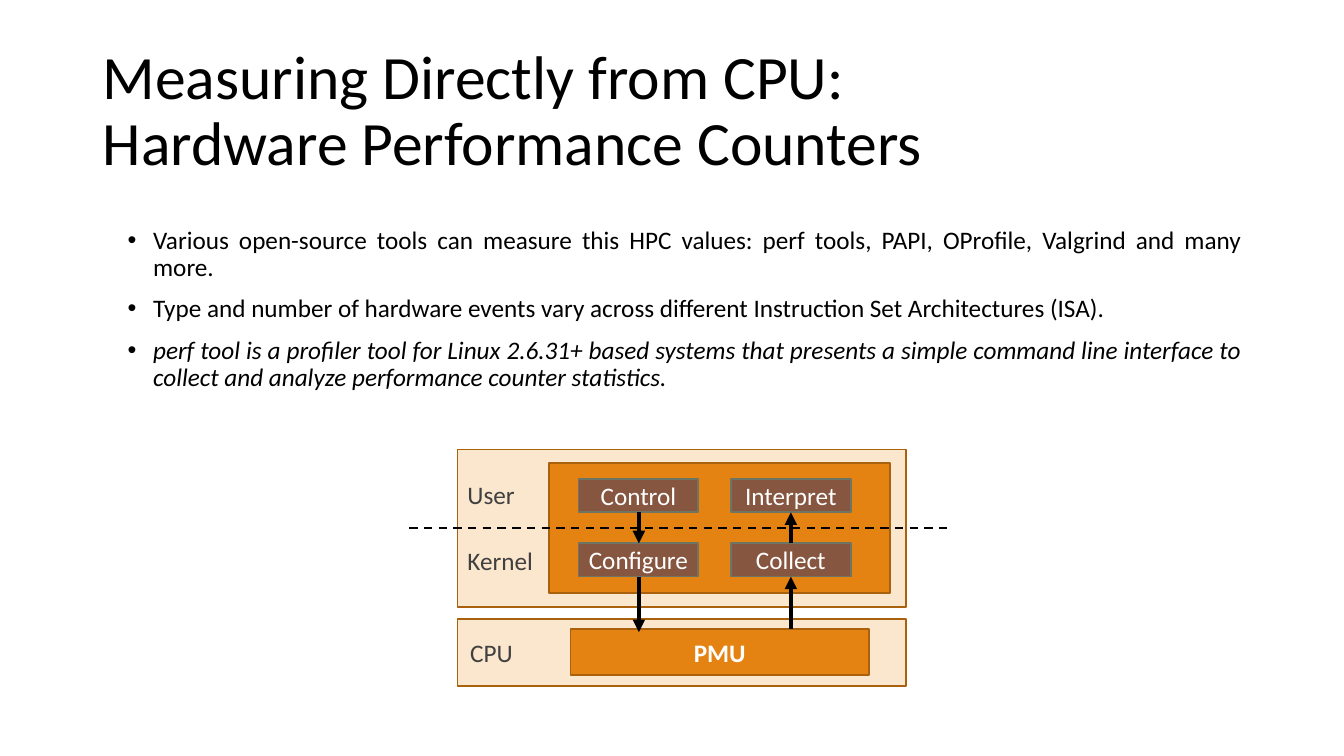
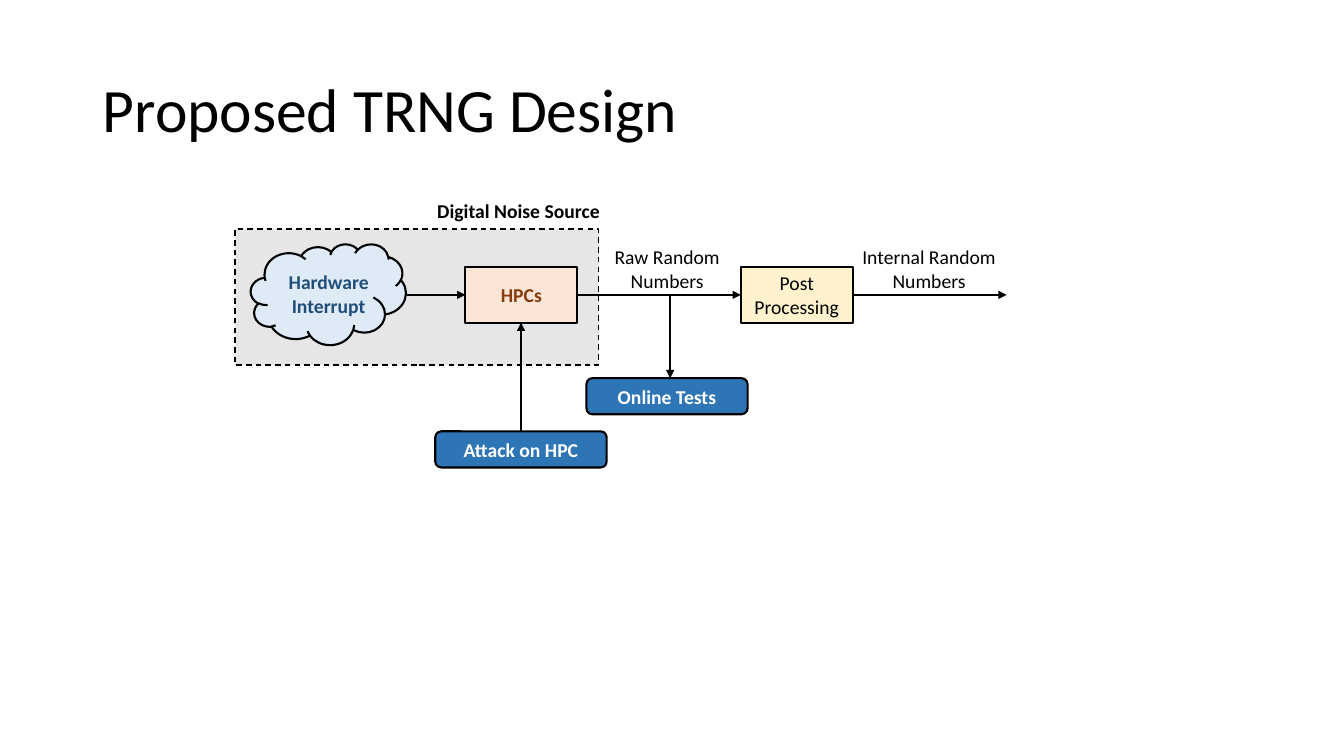
from lxml import etree
from pptx import Presentation
from pptx.dml.color import RGBColor
from pptx.enum.dml import MSO_LINE
from pptx.enum.shapes import MSO_CONNECTOR, MSO_SHAPE
from pptx.enum.text import MSO_ANCHOR, PP_ALIGN
from pptx.oxml.ns import qn
from pptx.util import Cm, Pt

RECT, ROUND, CLOUD = MSO_SHAPE.RECTANGLE, MSO_SHAPE.ROUNDED_RECTANGLE, MSO_SHAPE.CLOUD
STRAIGHT = MSO_CONNECTOR.STRAIGHT
DASH = MSO_LINE.DASH
TOP, MIDDLE = MSO_ANCHOR.TOP, MSO_ANCHOR.MIDDLE
LEFT, CENTER, JUSTIFY = PP_ALIGN.LEFT, PP_ALIGN.CENTER, PP_ALIGN.JUSTIFY

BLACK = RGBColor(0x00, 0x00, 0x00)
WHITE = RGBColor(0xFF, 0xFF, 0xFF)
DARK = RGBColor(0x40, 0x40, 0x40)
CREAM = RGBColor(0xFB, 0xE6, 0xCE)
ORANGE = RGBColor(0xE4, 0x83, 0x12)
RUST = RGBColor(0xA9, 0x61, 0x0D)
BROWN = RGBColor(0x86, 0x56, 0x40)
OLIVE = RGBColor(0x6D, 0x76, 0x65)
GRAY = RGBColor(0xE7, 0xE6, 0xE6)
SKY = RGBColor(0xDE, 0xEB, 0xF7)
NAVY = RGBColor(0x1F, 0x4E, 0x79)
PEACH = RGBColor(0xFB, 0xE5, 0xD6)
UMBER = RGBColor(0x84, 0x3C, 0x0B)
BLUE = RGBColor(0x2E, 0x75, 0xB6)
YELLOW = RGBColor(0xFF, 0xF2, 0xCC)


class Deck:
    face = "Calibri"

    def __init__(self):
        self.prs = Presentation()
        self.prs.slide_width, self.prs.slide_height = Cm(33.87), Cm(19.05)

    def start(self, title, size):
        self.slide = self.prs.slides.add_slide(self.prs.slide_layouts[6])
        self.size = size
        head = self.label(2.34, 1, 29.21, 3.68, title, size=44, anchor=MIDDLE)
        head.paragraphs[0].line_spacing = 0.9

    def style(self, para, color, bold=False, italic=False, size=None):
        font = para.font
        font.name, font.size = self.face, Pt(size or self.size)
        font.bold, font.italic = bold, italic
        font.color.rgb = color

    def label(self, x, y, w, h, text, color=BLACK, bold=False, align=LEFT,
              size=None, anchor=TOP):
        frame = self.slide.shapes.add_textbox(Cm(x), Cm(y), Cm(w), Cm(h)).text_frame
        frame.word_wrap = True
        frame.vertical_anchor = anchor
        para = frame.paragraphs[0]
        para.text = text
        para.alignment = align
        self.style(para, color, bold, size=size)
        return frame

    def bullets(self, x, y, w, h, items):
        frame = self.slide.shapes.add_textbox(Cm(x), Cm(y), Cm(w), Cm(h)).text_frame
        frame.word_wrap = True
        for num, (text, italic) in enumerate(items):
            para = frame.add_paragraph() if num else frame.paragraphs[0]
            para.text = text
            para.alignment = JUSTIFY
            para.line_spacing = 0.9
            if num:
                para.space_before = Pt(10)
            props = para._p.get_or_add_pPr()
            props.set("marL", str(Cm(1.27)))
            props.set("indent", str(Cm(-0.64)))
            etree.SubElement(props, qn("a:buFont")).set("typeface", "Arial")
            etree.SubElement(props, qn("a:buChar")).set("char", "•")
            self.style(para, BLACK, italic=italic)

    def box(self, x, y, w, h, fill, line, width, text="", color=WHITE,
            bold=False, kind=RECT, dash=None):
        shape = self.slide.shapes.add_shape(kind, Cm(x), Cm(y), Cm(w), Cm(h))
        shape.shadow.inherit = False
        shape.fill.solid()
        shape.fill.fore_color.rgb = fill
        shape.line.color.rgb = line
        shape.line.width = Pt(width)
        if dash:
            shape.line.dash_style = dash
        if text:
            frame = shape.text_frame
            frame.margin_left = frame.margin_right = 0
            frame.margin_top = frame.margin_bottom = 0
            frame.vertical_anchor = MIDDLE
            para = frame.paragraphs[0]
            para.text = text
            para.alignment = CENTER
            self.style(para, color, bold)

    def line(self, x1, y1, x2, y2, width=1.5, dash=None, arrow=True):
        link = self.slide.shapes.add_connector(STRAIGHT, Cm(x1), Cm(y1), Cm(x2), Cm(y2))
        link.line.color.rgb = BLACK
        link.line.width = Pt(width)
        if dash:
            link.line.dash_style = dash
        if arrow:
            stroke = link.line._get_or_add_ln()
            etree.SubElement(stroke, qn("a:tailEnd")).set("type", "triangle")
        etree.SubElement(link._element.spPr, qn("a:effectLst"))


def counters(deck):
    deck.start("Measuring Directly from CPU:\vHardware Performance Counters", 18)
    deck.bullets(2.34, 5.61, 29.21, 5, [
        ("Various open-source tools can measure this HPC values: perf tools, "
         "PAPI, OProfile, Valgrind and many more.", False),
        ("Type and number of hardware events vary across different "
         "Instruction Set Architectures (ISA).", False),
        ("perf tool is a profiler tool for Linux 2.6.31+ based systems that "
         "presents a simple command line interface to collect and analyze "
         "performance counter statistics.", True),
    ])
    for y, h in ((15.6, 1.68), (11.33, 3.96)):
        deck.box(11.53, y, 11.3, h, CREAM, RUST, 1.25)
    deck.box(13.84, 11.66, 8.59, 3.28, ORANGE, RUST, 1.25)
    deck.line(10.31, 13.31, 23.9, 13.31, dash=DASH, arrow=False)
    deck.box(14.38, 15.85, 7.52, 1.17, ORANGE, RUST, 1.25, "PMU", bold=True)
    for x, y, text in ((11.53, 11.96, "User"), (11.53, 13.61, "Kernel"),
                       (11.6, 15.93, "CPU")):
        deck.label(x, y, 2.3, 1.02, text, DARK)

    rows = 12.07, 13.69
    high = 0.84
    for x, names in ((14.58, ("Control", "Configure")),
                     (18.42, ("Interpret", "Collect"))):
        for y, name in zip(rows, names):
            deck.box(x, y, 3.02, high, BROWN, OLIVE, 1.25, name)
    upper, lower = (y + high for y in rows)
    for x, y1, y2 in ((16.1, upper, rows[1]), (16.1, lower, 15.93),
                      (19.93, rows[1], upper), (19.93, 15.85, lower)):
        deck.line(x, y1, x, y2, 3)


def design(deck):
    deck.start("Proposed TRNG Design", 14)
    flow = 7.43
    deck.box(5.92, 5.77, 9.17, 3.43, GRAY, BLACK, 1, dash=DASH)
    deck.box(6.32, 6.15, 3.91, 2.54, SKY, BLACK, 1.5, kind=CLOUD)
    for x, fill, text, color, bold in (
            (11.73, PEACH, "HPCs", UMBER, True),
            (18.67, YELLOW, "Post\vProcessing", BLACK, False)):
        deck.box(x, flow - 0.7, 2.82, 1.4, fill, BLACK, 1.5, text, color, bold)
    deck.label(10.77, 4.88, 5, 0.86, "Digital Noise Source", bold=True)
    deck.label(6.99, 6.68, 2.59, 1.45, "Hardware Interrupt", NAVY, True, CENTER)
    deck.label(15.19, 6.05, 3.25, 1.45, "Raw Random\vNumbers", align=CENTER)
    deck.label(21.46, 6.05, 3.91, 1.45, "Internal Random\vNumbers", align=CENTER)
    for x, y, w, text in ((14.78, 9.53, 4.06, "Online Tests"),
                          (10.97, 10.87, 4.32, "Attack on HPC")):
        deck.box(x, y, w, 0.91, BLUE, BLACK, 1.5, text, bold=True, kind=ROUND)
    for x1, x2 in ((10.22, 11.73), (14.55, 18.67), (21.49, 25.37)):
        deck.line(x1, flow, x2, flow)
    deck.line(16.89, flow, 16.89, 9.53)
    deck.line(13.13, 10.87, 13.13, flow + 0.7)


def main():
    deck = Deck()
    counters(deck)
    design(deck)
    deck.prs.save("out.pptx")


if __name__ == "__main__":
    main()
